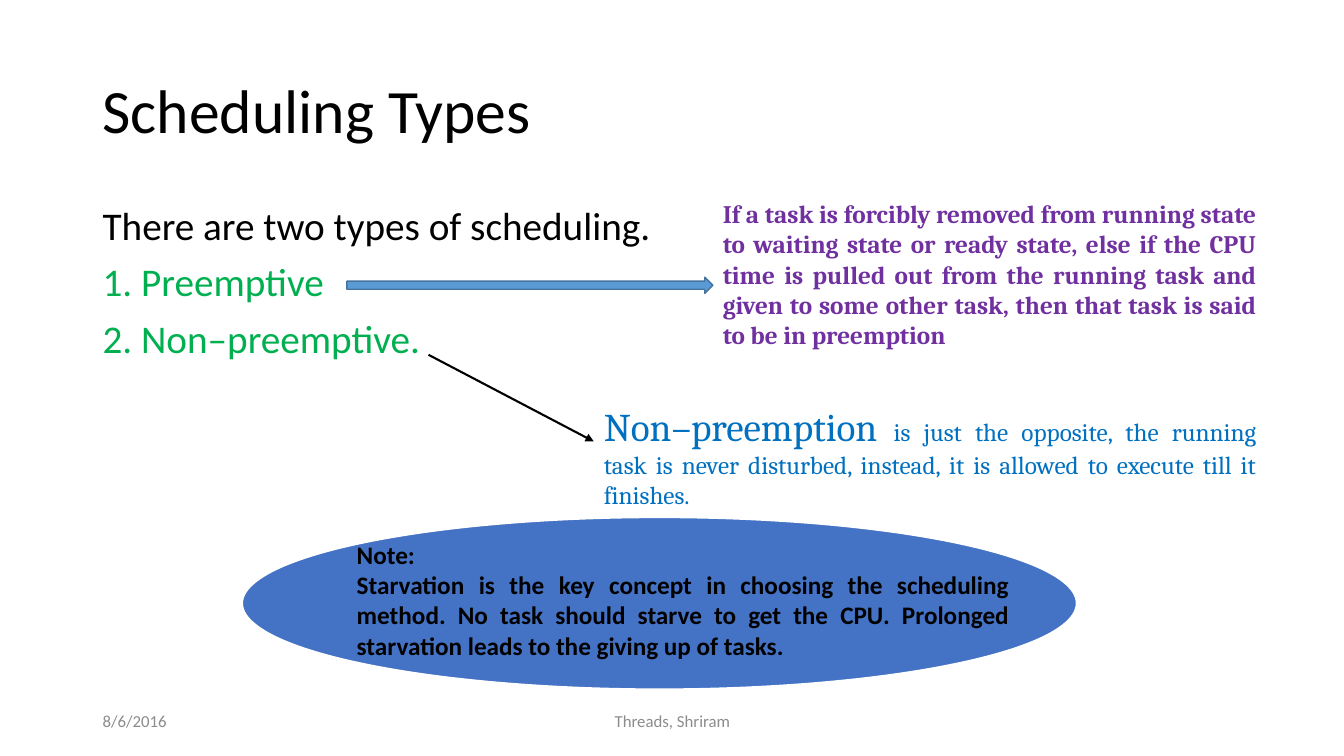
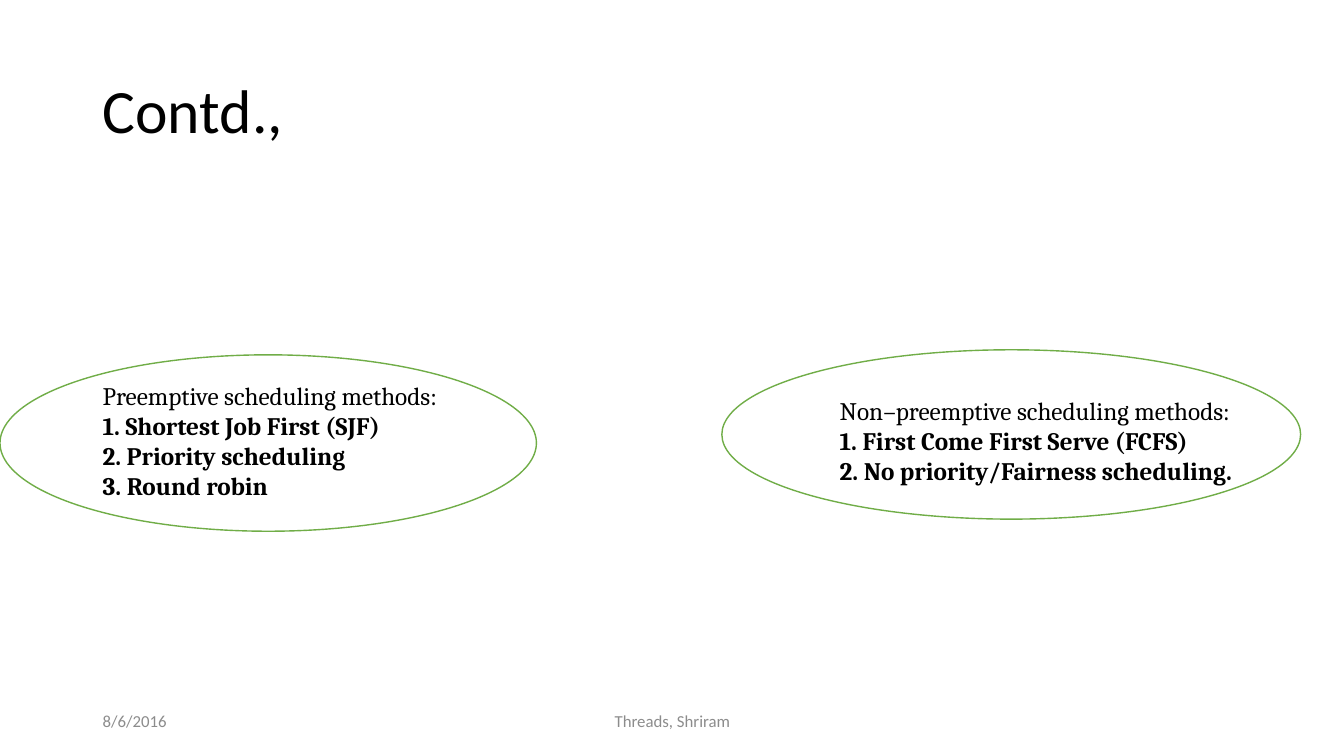
import pptx
import pptx.util
import pptx.dml.color
import pptx.enum.shapes
import pptx.enum.text
import pptx.oxml
import pptx.oxml.ns

# One px is a hundredth of an inch
SCALE = 9144
WIDE, HIGH = 1333, 750
LEFT = 92

BLACK, WHITE, GREY = "000000", "FFFFFF", "8C8C8C"
GREEN, PURPLE, BLUE = "00B050", "7030A0", "0070C0"
LEAF, ROYAL, SKY, NAVY = "70AD47", "4472C4", "5B9BD5", "43739E"
SANS, SERIF = "Calibri", "Cambria"

ALIGN = pptx.enum.text.PP_ALIGN
ANCHOR = pptx.enum.text.MSO_ANCHOR
SHAPE = pptx.enum.shapes.MSO_SHAPE


def px(*sizes):
    return [pptx.util.Emu(size * SCALE) for size in sizes]


def color(code):
    return pptx.dml.color.RGBColor.from_string(code)


def style(run, size, tint, font=SANS, bold=False):
    run.font.size = pptx.util.Pt(size)
    run.font.name = font
    run.font.bold = bold
    run.font.color.rgb = color(tint)


def text(slide, box, lines, size, tint, font=SANS, bold=False,
         align=ALIGN.LEFT, anchor=ANCHOR.TOP):
    frame = slide.shapes.add_textbox(*px(*box)).text_frame
    frame.word_wrap = True
    frame.vertical_anchor = anchor
    frame.text = "\n".join(lines)
    for para in frame.paragraphs:
        para.alignment = align
        for run in para.runs:
            style(run, size, tint, font, bold)
    return frame


def shape(slide, kind, box, fill, edge, width):
    item = slide.shapes.add_shape(kind, *px(*box))
    item.shadow.inherit = False
    item.fill.solid()
    item.fill.fore_color.rgb = color(fill)
    item.line.color.rgb = color(edge)
    item.line.width = pptx.util.Pt(width)


def arrow(slide, start, end, tint, width):
    line = slide.shapes.add_connector(
        pptx.enum.shapes.MSO_CONNECTOR.STRAIGHT, *px(*start, *end))
    line.line.color.rgb = color(tint)
    line.line.width = pptx.util.Pt(width)
    # Arrowhead at the end, no shadow
    space = pptx.oxml.ns.nsdecls("a")
    head = pptx.oxml.parse_xml(f'<a:tailEnd {space} type="triangle"/>')
    line.line._get_or_add_ln().append(head)
    line._element.spPr.append(pptx.oxml.parse_xml(f"<a:effectLst {space}/>"))


def page(deck, title):
    """Add a slide with the shared title and footer."""
    slide = deck.slides.add_slide(deck.slide_layouts[6])
    frame = text(slide, (LEFT, 40, 1150, 145), [title], 44, BLACK,
                 anchor=ANCHOR.MIDDLE)
    frame.paragraphs[0].line_spacing = 0.9
    text(slide, (LEFT, 695, 300, 40), ["8/6/2016"], 12, GREY,
         anchor=ANCHOR.MIDDLE)
    text(slide, (442, 695, 450, 40), ["Threads, Shriram"], 12, GREY,
         align=ALIGN.CENTER, anchor=ANCHOR.MIDDLE)
    return slide


def methods(slide, oval, box, lines):
    """Draw an outlined oval with a heading and bold entries."""
    shape(slide, SHAPE.OVAL, oval, WHITE, LEAF, 1)
    frame = text(slide, box, lines, 18, BLACK, SERIF, align=ALIGN.JUSTIFY)
    for para in frame.paragraphs[1:]:
        para.runs[0].font.bold = True


def types(deck):
    slide = page(deck, "Scheduling Types")

    # The two types
    body = text(slide, (LEFT, 200, 1150, 476), [
        "There are two types of scheduling.",
        "1. Preemptive",
        "2. Non–preemptive.",
    ], 28, GREEN)
    body.paragraphs[0].runs[0].font.color.rgb = color(BLACK)
    for para in body.paragraphs:
        para.line_spacing = 0.9
        para.space_before = pptx.util.Pt(10)

    # Preemption
    text(slide, (707, 192, 549, 161), [
        "If a task is forcibly removed from running state to waiting state "
        "or ready state, else if the CPU time is pulled out from the running "
        "task and given to some other task, then that task is said to be in "
        "preemption",
    ], 18, PURPLE, SERIF, True, ALIGN.JUSTIFY)
    shape(slide, SHAPE.RIGHT_ARROW, (344, 275, 363, 16), SKY, NAVY, 1)

    # Non-preemption
    frame = text(slide, (589, 394, 667, 117), ["Non–preemption "], 28, BLUE,
                 SERIF, align=ALIGN.JUSTIFY)
    run = frame.paragraphs[0].add_run()
    run.text = ("is just the opposite, the running task is never disturbed, "
                "instead, it is allowed to execute till it finishes.")
    style(run, 18, BLUE, SERIF)
    arrow(slide, (425, 352), (589, 438), BLACK, 1.5)

    # Note
    shape(slide, SHAPE.OVAL, (240, 513, 828, 171), ROYAL, WHITE, 1.5)
    text(slide, (344, 530, 667, 131), [
        "Note:",
        "Starvation is the key concept in choosing the scheduling method. "
        "No task should starve to get the CPU. Prolonged starvation leads to "
        "the giving up of tasks.",
    ], 18, BLACK, bold=True, align=ALIGN.JUSTIFY)


def more(deck):
    slide = page(deck, "Contd.,")
    methods(slide, (0, 352, 532, 175), (LEFT, 372, 430, 130), [
        "Preemptive scheduling methods:",
        "1. Shortest Job First (SJF)",
        "2. Priority scheduling",
        "3. Round robin",
    ])
    methods(slide, (716, 347, 574, 168), (823, 387, 430, 100), [
        "Non–preemptive scheduling methods:",
        "1. First Come First Serve (FCFS)",
        "2. No priority/Fairness scheduling.",
    ])


def main():
    deck = pptx.Presentation()
    deck.slide_width, deck.slide_height = px(WIDE, HIGH)
    types(deck)
    more(deck)
    deck.save("out.pptx")


if __name__ == "__main__":
    main()
